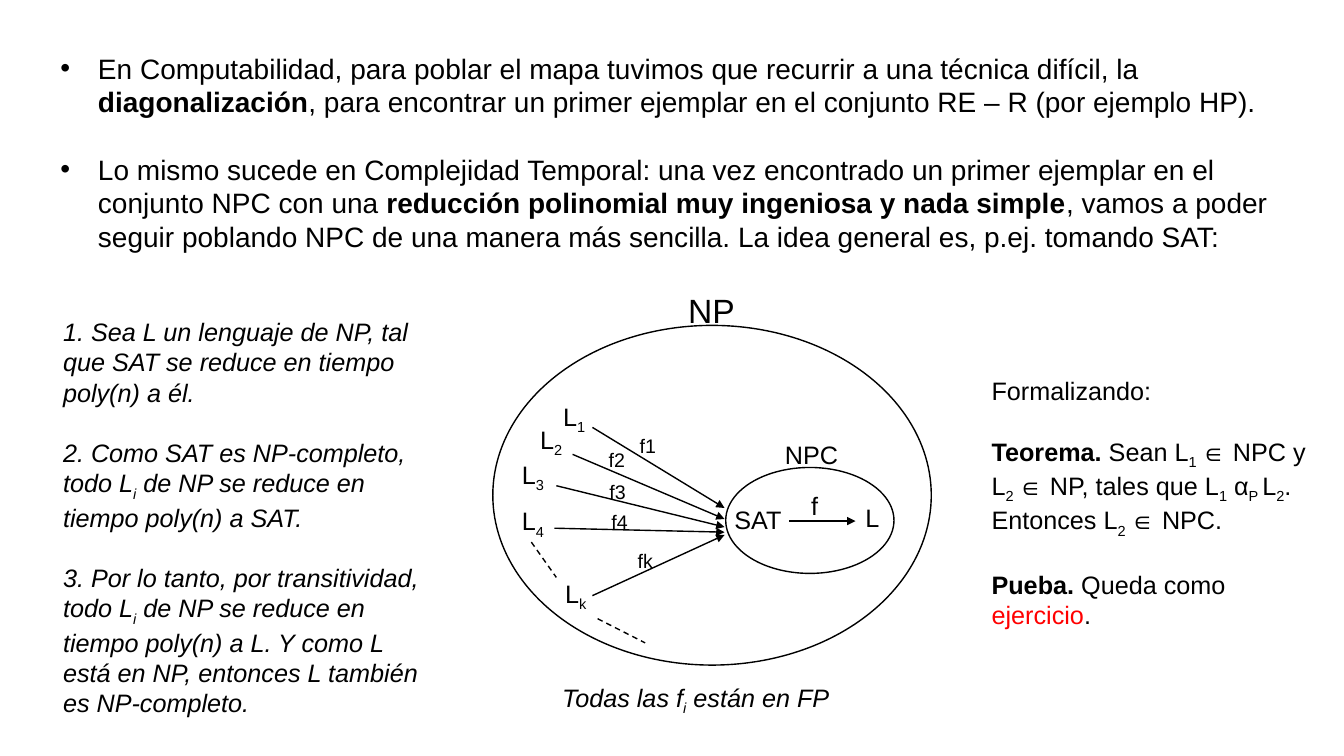
from lxml.etree import SubElement
from pptx import Presentation
from pptx.dml.color import RGBColor
from pptx.enum.dml import MSO_LINE as Dash
from pptx.enum.shapes import MSO_CONNECTOR as Conn, MSO_SHAPE as Shape
from pptx.enum.text import MSO_AUTO_SIZE as Fit
from pptx.oxml.ns import qn
from pptx.util import Cm, Pt

BLACK = RGBColor(0, 0, 0)
RED = RGBColor(255, 0, 0)
BOLD = {"bold": True}
SLANT = {"italic": True}


def sub(text):
    """Return a run set as a subscript."""
    return text, {"sub": True}


def write(para, runs, size, base):
    for item in runs:
        text, look = (item, {}) if isinstance(item, str) else item
        run = para.add_run()
        run.text = text
        look = {"name": "Arial", "size": Pt(size), **base, **look}
        color = look.pop("color", BLACK)
        if look.pop("sub", False):
            run.font._element.set("baseline", "-25000")
        for key, value in look.items():
            setattr(run.font, key, value)
        run.font.color.rgb = color


def add_text(slide, box, paras, size=18, gap=0, wrap=True, base={}):
    """Place text in box (left, top, width, height in cm)."""
    frame = slide.shapes.add_textbox(*map(Cm, box)).text_frame
    frame.word_wrap = wrap
    frame.auto_size = Fit.SHAPE_TO_FIT_TEXT
    for i, runs in enumerate(paras):
        para = frame.paragraphs[0] if i == 0 else frame.add_paragraph()
        para.space_before = Pt(gap if i else 0)
        write(para, runs, size, base)
    return frame


def add_oval(slide, box):
    oval = slide.shapes.add_shape(Shape.FLOWCHART_CONNECTOR, *map(Cm, box))
    oval.shadow.inherit = False
    oval.fill.background()
    oval.line.color.rgb = BLACK
    oval.line.width = Pt(1)


def add_line(slide, start, end, dashed=False):
    """Draw a dashed line, or a solid one with an arrowhead."""
    link = slide.shapes.add_connector(Conn.STRAIGHT, *map(Cm, start + end))
    link.line.color.rgb = BLACK
    link.line.width = Pt(1)
    if dashed:
        link.line.dash_style = Dash.DASH
    else:
        SubElement(link.line._get_or_add_ln(), qn("a:tailEnd"), type="triangle")
    SubElement(link._element.spPr, qn("a:effectLst"))


def add_intro(slide, box):
    frame = add_text(slide, box, [
        ["En Computabilidad, para poblar el mapa tuvimos que recurrir a una "
         "técnica difícil, la ", ("diagonalización", BOLD),
         ", para encontrar un primer ejemplar en el conjunto RE – R "
         "(por ejemplo HP)."],
        ["Lo mismo sucede en Complejidad Temporal: una vez encontrado un "
         "primer ejemplar en el conjunto NPC con una ",
         ("reducción polinomial muy ingeniosa y nada simple", BOLD),
         ", vamos a poder seguir poblando NPC de una manera más sencilla. "
         "La idea general es, p.ej. tomando SAT:"],
    ], size=20, gap=24)
    for para in frame.paragraphs:
        props = para._p.get_or_add_pPr()
        props.set("marL", str(Cm(0.95)))
        props.set("indent", str(-Cm(0.95)))
        SubElement(props, qn("a:buFont"), typeface="Arial")
        SubElement(props, qn("a:buChar"), char="•")


def add_steps(slide, box):
    add_text(slide, box, [
        ["1. Sea L un lenguaje de NP, tal que SAT se reduce en tiempo "
         "poly(n) a él."],
        ["2. Como SAT es NP-completo, todo L", sub("i"),
         " de NP se reduce en tiempo poly(n) a SAT."],
        ["3. Por lo tanto, por transitividad, todo L", sub("i"),
         " de NP se reduce en tiempo poly(n) a L. Y como L está en NP, "
         "entonces L también es NP-completo."],
    ], gap=21.6, base=SLANT)


def add_proof(slide, box):
    add_text(slide, box, [
        ["Formalizando:"],
        [("Teorema.", BOLD), " Sean L", sub("1 "), "∈ NPC y L", sub("2 "),
         "∈ NP, tales que L", sub("1"), " α", sub("P "), "L", sub("2"),
         ". Entonces L", sub("2 "), "∈ NPC."],
        [("Pueba.", BOLD), " Queda como ", ("ejercicio", {"color": RED}), "."],
    ], gap=21.6)


def add_map(slide, box):
    """Draw the NP set, its reductions to SAT and the caption below."""
    left, top, width, height = box

    def at(x, y):
        return left + x, top + y

    def label(x, y, wide, *runs, size=18):
        add_text(slide, (*at(x, y), wide, size * 0.0424 + 0.25), [runs],
                 size, wrap=False)

    add_oval(slide, box)
    add_oval(slide, (*at(5.87, 3.58), 4.24, 2.67))
    label(4.67, -1.02, 1.7, "NP", size=24)
    label(7.11, 2.74, 1.85, "NPC")
    label(5.84, 4.37, 1.7, "SAT")
    label(7.77, 4.04, 0.69, "f")
    label(9.14, 4.34, 0.86, "L")
    add_line(slide, at(7.47, 4.93), at(9.14, 4.93))

    # index, language place, function place, arrow start, arrow end height
    for key, lang, func, start, end in (
        ("1", (1.52, 1.78), (3.45, 2.62), (2.51, 2.57), 4.6),
        ("2", (0.94, 2.36), (2.67, 2.97), (2.01, 3.25), 4.88),
        ("3", (0.48, 3.25), (2.69, 3.78), (1.6, 4.04), 5.08),
        ("4", (0.48, 4.42), (2.74, 4.52), (1.55, 5.11), 5.21),
        ("k", (1.57, 6.25), (3.4, 5.51), (2.51, 6.81), 5.28),
    ):
        label(*lang, 1.12, "L", sub(key))
        label(*func, 0.96, "f" + key, size=14)
        add_line(slide, at(*start), at(5.84, end))

    add_line(slide, at(0.97, 5.46), at(1.6, 6.35), dashed=True)
    add_line(slide, at(2.64, 7.39), at(3.84, 8), dashed=True)
    add_text(slide, (*at(1.5, height + 0.3), 7.6, 1.02),
             [["Todas las f", sub("i"), " están en FP"]], base=SLANT)


def main():
    deck = Presentation()
    deck.slide_width, deck.slide_height = Cm(33.87), Cm(19.05)
    slide = deck.slides.add_slide(deck.slide_layouts[6])
    add_intro(slide, (1.27, 1.17, 31.37, 5.38))
    add_map(slide, (12.42, 8.2, 11.05, 8.56))
    add_steps(slide, (1.34, 7.85, 9.91, 11.13))
    add_proof(slide, (24.74, 9.34, 8.59, 6.4))
    deck.save("out.pptx")


if __name__ == "__main__":
    main()
